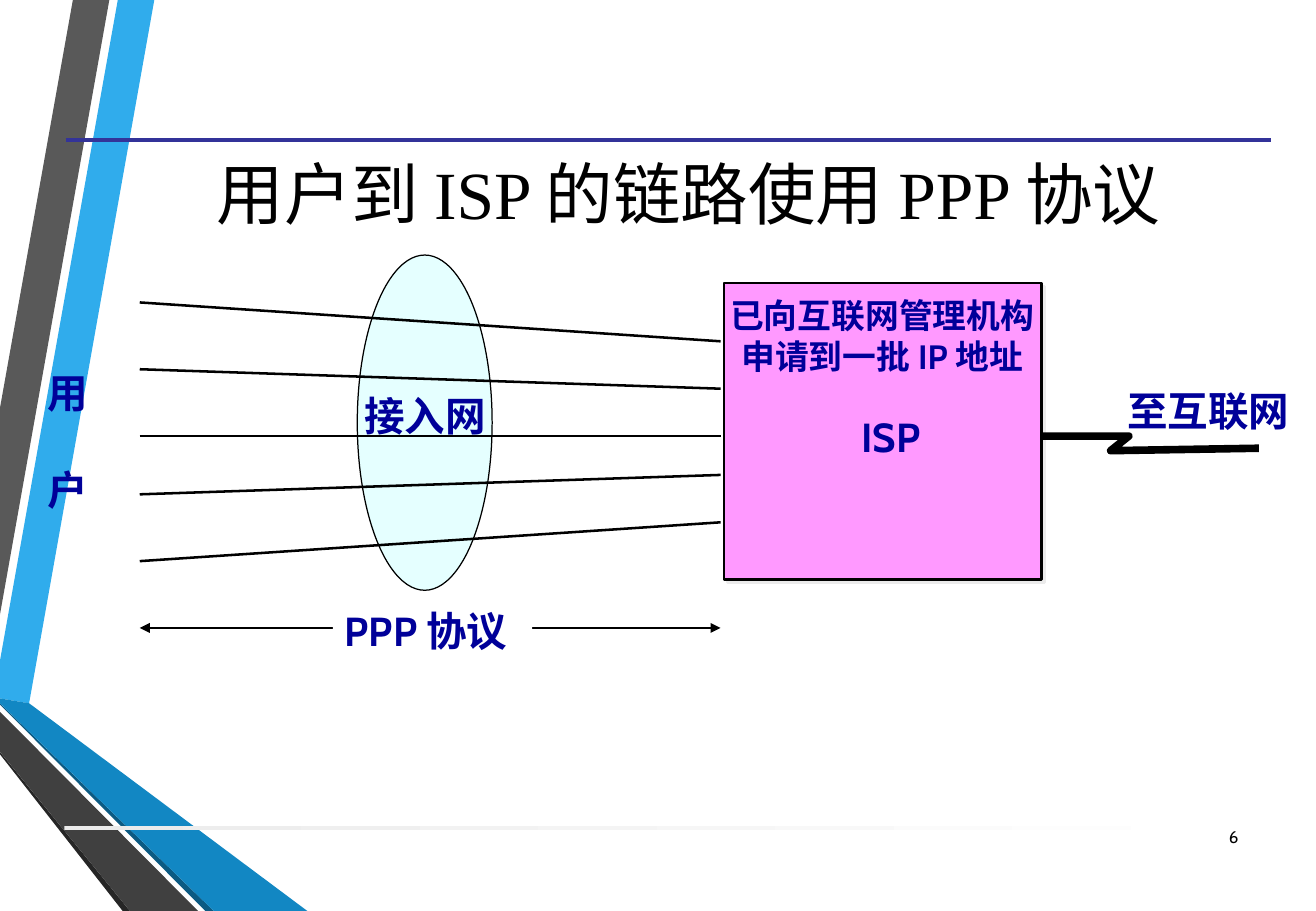
from dataclasses import dataclass

from lxml.etree import SubElement
from pptx import Presentation
from pptx.dml.color import RGBColor
from pptx.enum.shapes import MSO_CONNECTOR, MSO_SHAPE
from pptx.enum.text import MSO_ANCHOR, MSO_AUTO_SIZE, PP_ALIGN
from pptx.oxml.ns import qn
from pptx.util import Pt

PX = 9144  # EMU per px, 100 px to the inch
W, H = 1083, 750


@dataclass(frozen=True)
class Theme:
    sky: str = "30ACEC"
    blue: str = "1287C3"
    deep_blue: str = "0C5A82"
    grey: str = "595959"
    dark_grey: str = "404040"
    near_black: str = "262626"
    rule: str = "333399"
    pale: str = "EBEBEB"
    white: str = "FFFFFF"
    ink: str = "000000"
    label: str = "000099"
    isp: str = "FF99FF"
    access: str = "CCFFFF"
    serif: str = "Times New Roman"
    sans: str = "Cabin"
    title_size: int = 40
    label_size: int = 24
    note_size: int = 20
    number_size: int = 10


T = Theme()
LABEL = {"name": T.sans, "size": Pt(T.label_size), "bold": True}
NOTE = LABEL | {"size": Pt(T.note_size)}
TITLE = {"name": T.serif, "size": Pt(T.title_size)}
NUMBER = {"name": T.sans, "size": Pt(T.number_size)}


def rgb(color):
    return RGBColor.from_string(color)


def emu(*lengths):
    return [n * PX for n in lengths]


def paint(sp, fill=None, line=None, width=0.75):
    sp.shadow.inherit = False
    if fill:
        sp.fill.solid()
        sp.fill.fore_color.rgb = rgb(fill)
    else:
        sp.fill.background()
    if line:
        sp.line.color.rgb = rgb(line)
        sp.line.width = Pt(width)
    else:
        sp.line.fill.background()
    return sp


def add_shape(s, kind, x, y, w, h, **look):
    return paint(s.shapes.add_shape(kind, *emu(x, y, w, h)), **look)


def add_outline(s, x, y, points, close=True, **look):
    first, *rest = [(x + a, y + b) for a, b in points]
    fb = s.shapes.build_freeform(*first, scale=float(PX))
    fb.add_line_segments(rest, close=close)
    return paint(fb.convert_to_shape(), **look)


def add_line(s, x1, y1, x2, y2, color=T.ink, width=1.5, arrows=False):
    cx = s.shapes.add_connector(MSO_CONNECTOR.STRAIGHT, *emu(x1, y1, x2, y2))
    cx.line.color.rgb = rgb(color)
    cx.line.width = Pt(width)
    if arrows:
        ln = cx.line._get_or_add_ln()
        for end in ("a:headEnd", "a:tailEnd"):
            SubElement(ln, qn(end), type="triangle")
    SubElement(cx._element.spPr, qn("a:effectLst"))


def add_text(s, x, y, w, h, lines, font=LABEL, color=T.label, align=PP_ALIGN.LEFT,
             gap=0, wrap=False, anchor=MSO_ANCHOR.TOP, fill=None):
    sp = s.shapes.add_textbox(*emu(x, y, w, h))
    if fill:
        sp.fill.solid()
        sp.fill.fore_color.rgb = rgb(fill)
    tf = sp.text_frame
    tf.word_wrap = wrap
    tf.auto_size = MSO_AUTO_SIZE.NONE if wrap else MSO_AUTO_SIZE.SHAPE_TO_FIT_TEXT
    tf.vertical_anchor = anchor
    for i, line in enumerate(lines):
        p = tf.add_paragraph() if i else tf.paragraphs[0]
        p.alignment = align
        if i and gap:
            p.space_before = Pt(gap)
        r = p.add_run()
        r.text = line
        for key, value in font.items():
            setattr(r.font, key, value)
        r.font.color.rgb = rgb(color)


def background(s, x, y, w, h):
    # Folded ribbons on the left edge
    ribbons = [
        (T.sky, [(0, 544), (0, 575), (24, 579), (127, 0), (97, 0)]),
        (T.grey, [(90, 0), (60, 0), (0, 336), (0, 506)]),
        (T.near_black, [(0, 619), (0, 621), (101, h), (107, h)]),
        (T.deep_blue, [(0, 579), (0, 580), (169, h), (176, h)]),
        (T.blue, [(0, 579), (176, h), (253, h), (24, 579), (0, 575)]),
        (T.dark_grey, [(0, 619), (107, h), (163, h), (0, 586)]),
    ]
    for color, points in ribbons:
        add_outline(s, x, y, points, fill=color)
    # Fading footer rule
    sp = add_shape(s, MSO_SHAPE.RECTANGLE, x + 53, y + 680, 975, 3)
    sp.fill.gradient()
    sp.fill.gradient_angle = 0
    for stop, color in zip(sp.fill.gradient_stops, (T.pale, T.white)):
        stop.color.rgb = rgb(color)
    # Header rule
    add_line(s, x + 54, y + 115, x + w - 37, y + 115, T.rule, 2.25)


def access_network(s, x, y, w, h):
    # Span of the PPP protocol
    add_line(s, x, y + 307, x + w, y + 307, arrows=True)
    add_text(s, x + 159, y + 284, 164, 50, ["PPP 协议"], fill=T.white)
    # Access network cloud
    sp = add_shape(s, MSO_SHAPE.OVAL, x + 179, y, 111, 276, fill=T.access, line=T.ink)
    color = sp._element.spPr.find(qn("a:solidFill"))[0]
    SubElement(color, qn("a:alpha"), val="50000")
    add_text(s, x + 175, y + 107, 122, 50, ["接入网"])
    # User links: height at the user, height at the ISP
    for start, end in [(39, 71), (94, 110), (149, 149), (197, 181), (252, 220)]:
        add_line(s, x, y + start, x + w, y + end)
    # Users
    add_text(s, x - 86, y + 88, 54, 131, ["用", "户"], gap=29)


def isp_block(s, x, y, w, h):
    sp = add_shape(s, MSO_SHAPE.RECTANGLE, x, y, w, h, fill=T.isp, line=T.ink, width=1.5)
    shadow = SubElement(sp._element.spPr.find(qn("a:effectLst")), qn("a:outerShdw"),
                        dist=str(Pt(2.8)), dir="2700000", algn="ctr", rotWithShape="0")
    SubElement(shadow, qn("a:srgbClr"), val=T.pale)
    add_text(s, x - 7, y + 5, w + 13, 77, ["已向互联网管理机构", "申请到一批 IP 地址"],
             NOTE, align=PP_ALIGN.CENTER)
    add_text(s, x + 103, y + 101, 74, 50, ["ISP"])


def internet_link(s, x, y, w, h):
    add_outline(s, x, y, [(0, 0), (71, 0), (56, h), (w, h - 2)], close=False,
                line=T.ink, width=4.5)
    add_text(s, x + 60, y - 46, 156, 50, ["至互联网"])


def main():
    prs = Presentation()
    prs.slide_width, prs.slide_height = emu(W, H)
    s = prs.slides.add_slide(prs.slide_layouts[6])
    background(s, 0, 0, W, H)
    # Title
    add_text(s, 110, 50, 913, 217, ["用户到 ISP 的链路使用 PPP 协议"], TITLE, T.ink,
             PP_ALIGN.CENTER, wrap=True, anchor=MSO_ANCHOR.MIDDLE)
    # Diagram
    access_network(s, 115, 210, 478, 334)
    isp_block(s, 596, 233, 261, 244)
    internet_link(s, 858, 359, 178, 12)
    # Slide number
    add_text(s, 980, 669, 49, 40, ["6"], NUMBER, T.ink, PP_ALIGN.RIGHT,
             wrap=True, anchor=MSO_ANCHOR.MIDDLE)
    prs.save("out.pptx")


if __name__ == "__main__":
    main()
